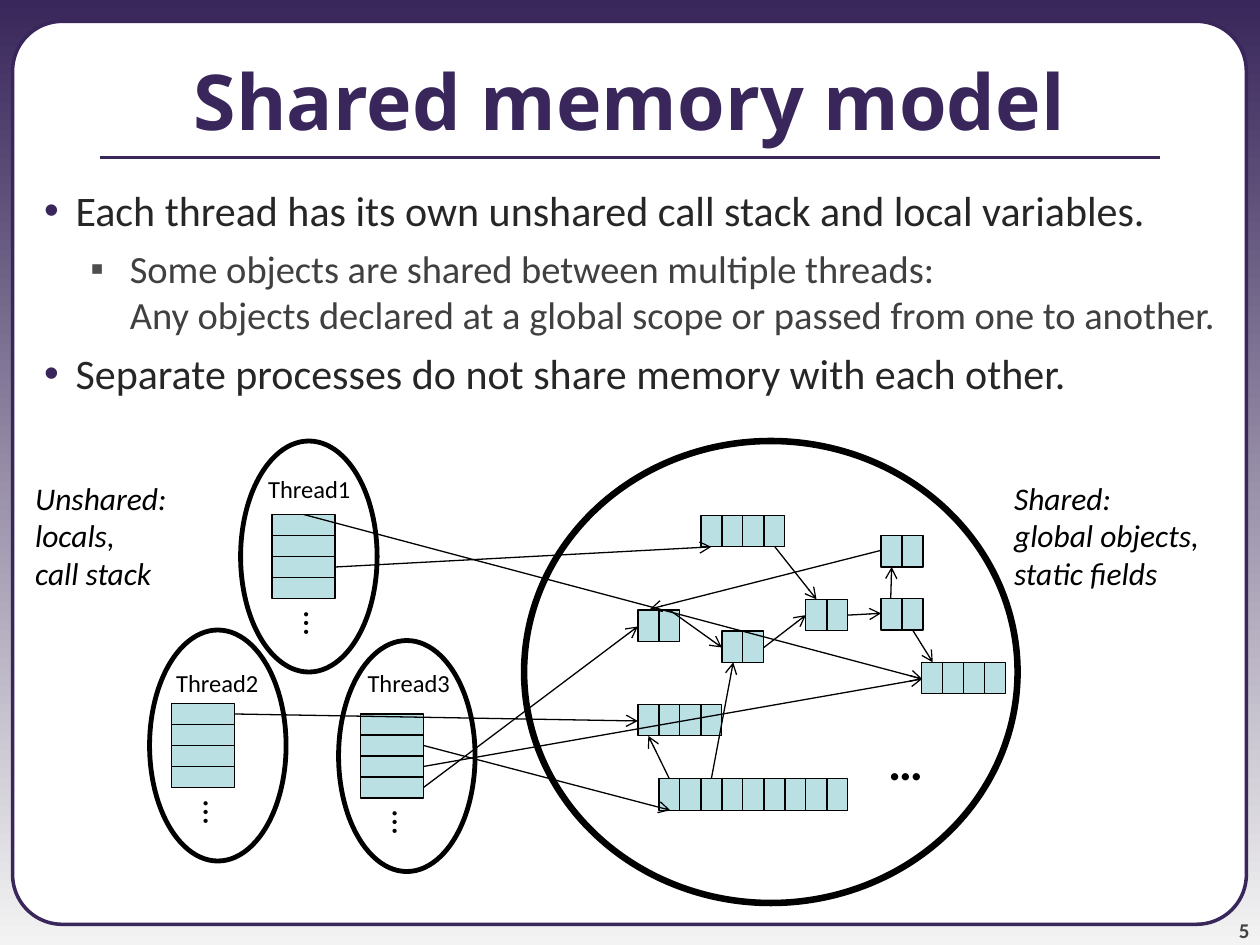
from dataclasses import dataclass

from lxml.etree import SubElement
from pptx import Presentation
from pptx.dml.color import RGBColor
from pptx.enum.shapes import MSO_CONNECTOR as Connector, MSO_SHAPE as Shape
from pptx.enum.text import MSO_ANCHOR as Anchor, MSO_AUTO_SIZE as AutoSize, PP_ALIGN as Align
from pptx.oxml.ns import qn
from pptx.util import Pt


@dataclass(frozen=True)
class Theme:
    purple: str = "39275B"
    pale: str = "F3F3F3"
    white: str = "FFFFFF"
    black: str = "000000"
    cell: str = "BBE0E3"
    number: str = "424242"
    body: str = "262626"
    detail: str = "404040"
    detail_bullet: str = "4D4D4D"
    heading_font: str = "Open Sans"
    text_font: str = "Calibri"
    title_size: int = 44
    body_size: int = 24
    detail_size: int = 22
    caption_size: int = 18
    label_size: int = 14
    number_size: int = 12
    stack_dots_size: int = 20
    heap_dots_size: int = 28


THEME = Theme()
CELL_W, CELL_H = 12, 18
FRAME_W, FRAME_H, FRAMES = 36, 12, 4

# Bullets: level, lines
BULLETS = [
    (0, ["Each thread has its own unshared call stack and local variables."]),
    (1, ["Some objects are shared between multiple threads:",
         "Any objects declared at a global scope or passed from one to another."]),
    (0, ["Separate processes do not share memory with each other."]),
]

# Threads: name, ellipse corner, stack corner, label corner
THREADS = [
    ("Thread1", (137.5, 252), (155.5, 294), (144.8, 267.1)),
    ("Thread2", (85.5, 360), (98, 402), (92.2, 378)),
    ("Thread3", (193.5, 366), (206, 408), (201.6, 378)),
]

# Shared objects: left, top, number of cells
OBJECTS = [
    (364.5, 348.5, 2), (364.5, 402.5, 4), (412.5, 360.5, 2),
    (460.5, 342.5, 2), (400.5, 294.5, 4), (526.5, 378.5, 4),
    (376.5, 445, 9), (503.5, 342, 2), (503.5, 306, 2),
]

# References: start and end points
STACK_REFERENCES = [
    (173.5, 294, 527, 388), (191.5, 324, 406.5, 312.5),
    (134, 408, 364.5, 412), (242, 426, 383, 463),
    (242, 450, 364.5, 358), (242, 438, 527, 388),
]
OBJECT_REFERENCES = [
    (442.8, 312.5, 466.6, 342.5), (382.5, 348.5, 412.5, 370),
    (436.5, 370, 460.5, 351.5), (382.5, 445, 370.5, 420.5),
    (406.5, 445, 419, 378.5), (484.5, 351.5, 503.5, 350.5),
    (509, 342, 509.5, 324), (503.5, 314.5, 371.5, 348),
    (521.5, 360, 533, 378.5),
]


def rgb(value):
    return RGBColor.from_string(value)


def add_run(paragraph, text, size, color=THEME.black, font=THEME.text_font,
            bold=False, italic=False):
    run = paragraph.add_run()
    run.text = text
    run.font.name, run.font.size = font, Pt(size)
    run.font.bold, run.font.italic = bold, italic
    run.font.color.rgb = rgb(color)


def add_outline(slide, kind, left, top, width, height, weight, fill=None, line=THEME.black):
    outline = slide.shapes.add_shape(kind, Pt(left), Pt(top), Pt(width), Pt(height))
    outline.shadow.inherit = False
    if fill:
        outline.fill.solid()
        outline.fill.fore_color.rgb = rgb(fill)
    else:
        outline.fill.background()
    outline.line.color.rgb = rgb(line)
    outline.line.width = Pt(weight)
    return outline


def add_cells(slide, left, top, width, height, columns=1, rows=1):
    for row in range(rows):
        for column in range(columns):
            add_outline(slide, Shape.RECTANGLE, left + column * width, top + row * height,
                        width, height, 0.75, THEME.cell)


def add_line(slide, x1, y1, x2, y2, color=THEME.black, weight=0.75, arrow=True):
    line = slide.shapes.add_connector(Connector.STRAIGHT, Pt(x1), Pt(y1), Pt(x2), Pt(y2))
    line.line.color.rgb = rgb(color)
    line.line.width = Pt(weight)
    properties = line.element.spPr
    if arrow:
        SubElement(properties.find(qn("a:ln")), qn("a:tailEnd"), type="arrow")
    SubElement(properties, qn("a:effectLst"))
    return line


def add_label(slide, lines, left, top, width, height, size, align=Align.LEFT, **style):
    label = slide.shapes.add_textbox(Pt(left), Pt(top), Pt(width), Pt(height))
    frame = label.text_frame
    frame.word_wrap, frame.auto_size = False, AutoSize.SHAPE_TO_FIT_TEXT
    for index, text in enumerate(lines):
        paragraph = frame.add_paragraph() if index else frame.paragraphs[0]
        paragraph.alignment = align
        add_run(paragraph, text, size, **style)
    return label


def place(holder, left, top, width, height, anchor):
    holder.left, holder.top, holder.width, holder.height = map(Pt, (left, top, width, height))
    frame = holder.text_frame
    frame.auto_size, frame.vertical_anchor, frame.word_wrap = AutoSize.NONE, anchor, True
    return frame


def set_bullet(paragraph, char, color, margin, hanging):
    properties = paragraph._p.get_or_add_pPr()
    properties.set("marL", str(Pt(margin)))
    properties.set("indent", str(-Pt(hanging)))
    SubElement(SubElement(properties, qn("a:buClr")), qn("a:srgbClr"), val=color)
    SubElement(properties, qn("a:buFont"), typeface="Arial")
    SubElement(properties, qn("a:buChar"), char=char)


def add_backdrop(slide):
    fill = slide.background.fill
    fill.gradient()
    fill.gradient_angle = 270
    for stop, color, position in zip(fill.gradient_stops, (THEME.purple, THEME.pale), (0, 1)):
        stop.color.rgb, stop.position = rgb(color), position
    panel = add_outline(slide, Shape.ROUNDED_RECTANGLE, 7.2, 12.2, 705, 516, 2,
                        THEME.white, THEME.purple)
    panel.adjustments[0] = 0.055
    rule = add_line(slide, 57, 90, 663, 90, THEME.purple, 2.25, arrow=False)
    # Panel and rule belong behind the title
    for part in (panel, rule):
        slide.shapes.title.element.addprevious(part.element)


def add_page_number(slide):
    number = add_label(slide, ["5"], 654, 510, 60, 28.5, THEME.number_size, Align.RIGHT,
                       color=THEME.number, bold=True)
    frame = place(number, 654, 510, 60, 28.5, Anchor.BOTTOM)
    frame.margin_left = frame.margin_right = frame.margin_top = frame.margin_bottom = 0


def fill_title(slide):
    heading = place(slide.shapes.title, 0, 12, 720, 90, Anchor.MIDDLE).paragraphs[0]
    heading.alignment = Align.CENTER
    add_run(heading, "Shared memory model", THEME.title_size, THEME.purple,
            THEME.heading_font, bold=True)


def fill_bullets(slide):
    frame = place(slide.placeholders[1], 0, 102, 720, 438, Anchor.TOP)
    levels = [
        (THEME.body_size, THEME.body, 6, ("•", THEME.purple, 36, 18)),
        (THEME.detail_size, THEME.detail, 5.5, ("▪", THEME.detail_bullet, 67, 22.5)),
    ]
    for index, (level, lines) in enumerate(BULLETS):
        size, color, space, bullet = levels[level]
        point = frame.add_paragraph() if index else frame.paragraphs[0]
        point.level, point.space_before = level, Pt(space)
        set_bullet(point, *bullet)
        for number, text in enumerate(lines):
            if number:
                point.add_line_break()
            add_run(point, text, size, color)


def add_thread(slide, name, oval, stack, label):
    add_outline(slide, Shape.OVAL, *oval, 78, 132, 2.75)
    add_cells(slide, *stack, FRAME_W, FRAME_H, rows=FRAMES)
    add_label(slide, [name], *label, 64, 24.5, THEME.label_size, Align.CENTER)
    dots = add_label(slide, ["…"], stack[0] + 12.25, stack[1] + 46.5, 28, 31.5,
                     THEME.stack_dots_size)
    dots.rotation = 90


def add_shared_heap(slide):
    add_outline(slide, Shape.OVAL, 299.5, 252, 282, 264, 3.75)
    for left, top, count in OBJECTS:
        add_cells(slide, left, top, CELL_W, CELL_H, columns=count)
    add_label(slide, ["…"], 500.4, 414.7, 34, 41, THEME.heap_dots_size, bold=True)


def main():
    deck = Presentation()
    deck.slide_width, deck.slide_height = Pt(720), Pt(540)
    slide = deck.slides.add_slide(deck.slide_layouts[1])

    # Frame and text
    add_backdrop(slide)
    add_page_number(slide)
    fill_title(slide)
    fill_bullets(slide)

    # Memory diagram
    add_shared_heap(slide)
    for thread in THREADS:
        add_thread(slide, *thread)
    for reference in OBJECT_REFERENCES + STACK_REFERENCES:
        add_line(slide, *reference)

    # Captions
    add_label(slide, ["Unshared:", "locals,", "call stack"], 13, 270, 92, 72,
              THEME.caption_size, italic=True)
    add_label(slide, ["Shared:", "global objects,", "static fields"], 572.4, 270, 121, 72,
              THEME.caption_size, italic=True)

    deck.save("out.pptx")


if __name__ == "__main__":
    main()
